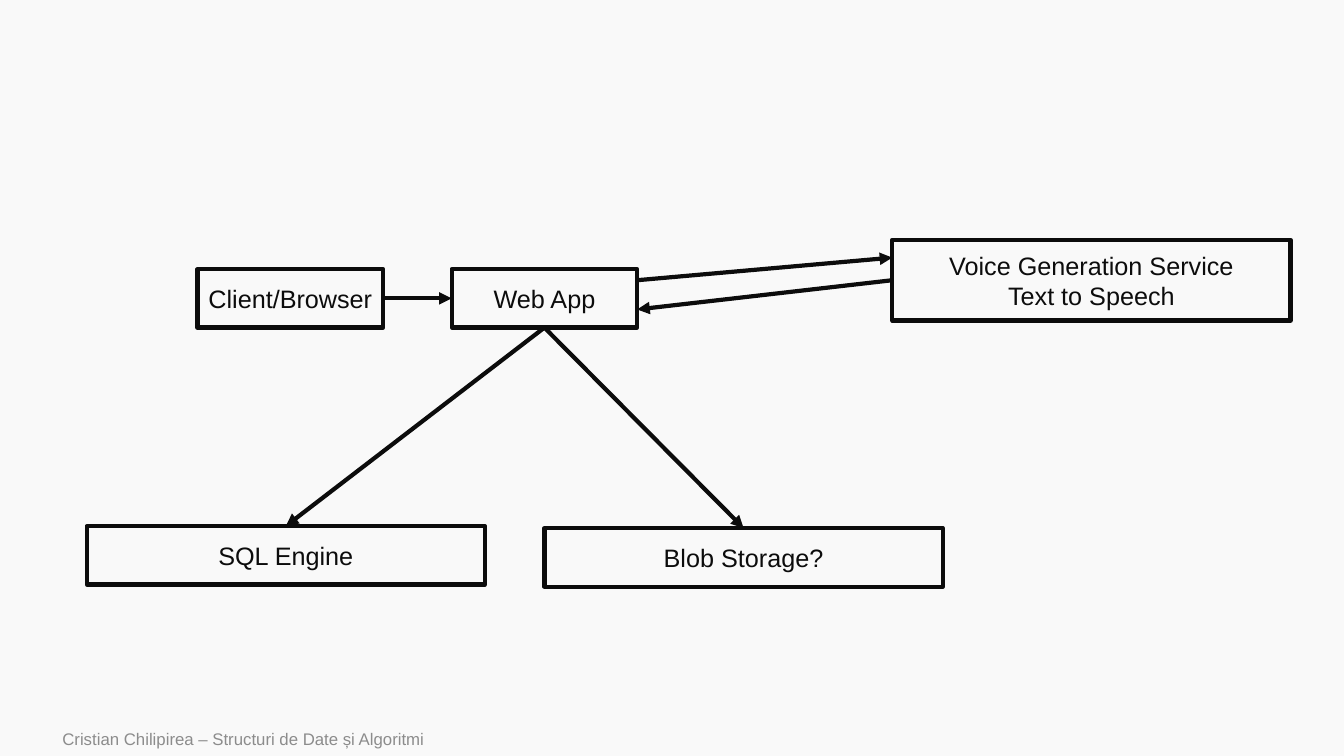
from pptx import Presentation
from pptx.dml.color import RGBColor
from pptx.enum.shapes import MSO_CONNECTOR as Connector, MSO_SHAPE as Shape
from pptx.enum.text import MSO_ANCHOR as Anchor, PP_ALIGN as Align
from pptx.oxml.ns import qn
from pptx.util import Inches, Pt
from lxml.etree import SubElement

CELL = Inches(0.1)
INK = "0C0C0C"
BACKGROUND = "F9F9F9"
FOOTER_GREY = "8C8C8C"


def paint(fill, colour):
    fill.solid()
    fill.fore_color.rgb = RGBColor.from_string(colour)


def write_text(shape, text, size=18, colour=INK, align=Align.CENTER):
    frame = shape.text_frame
    frame.word_wrap = True
    frame.vertical_anchor = Anchor.MIDDLE
    frame.text = text
    for paragraph in frame.paragraphs:
        paragraph.alignment = align
        paragraph.font.name = "Arial"
        paragraph.font.size = Pt(size)
        paint(paragraph.font.fill, colour)


presentation = Presentation()
presentation.slide_width = Inches(13.33)
presentation.slide_height = Inches(7.5)
slide = presentation.slides.add_slide(presentation.slide_layouts[6])
paint(slide.background.fill, BACKGROUND)

footer = slide.shapes.add_textbox(*(int(n * CELL) for n in (5.2, 71.6, 84, 3.4)))
write_text(footer, "Cristian Chilipirea – Structuri de Date și Algoritmi",
           size=12, colour=FOOTER_GREY, align=Align.LEFT)

WIDE, NARROW = 39.5, 18.4
TALL, LOW = 8, 5.8
boxes = {
    "speech": ("Voice Generation Service\nText to Speech", 88.5, 23.8, WIDE, TALL),
    "database": ("SQL Engine", 8.6, 52.2, WIDE, LOW),
    "storage": ("Blob Storage?", 54, 52.4, WIDE, LOW),
    "web app": ("Web App", 44.8, 26.7, NARROW, LOW),
    "client": ("Client/Browser", 19.6, 26.7, NARROW, LOW),
}
placed = {}
for name, (label, *cells) in boxes.items():
    box = slide.shapes.add_shape(Shape.RECTANGLE, *(int(n * CELL) for n in cells))
    box.shadow.inherit = False
    box.fill.background()
    paint(box.line.fill, INK)
    box.line.width = Pt(3)
    write_text(box, label)
    placed[name] = box

arrows = [
    ("client", 1, 0.5, "web app", 0, 0.5),
    ("web app", 1, 0.19, "speech", 0, 0.22),
    ("speech", 0, 0.5, "web app", 1, 0.69),
    ("web app", 0.5, 1, "database", 0.5, 0),
    ("web app", 0.5, 1, "storage", 0.5, 0),
]
for source, source_x, source_y, target, target_x, target_y in arrows:
    points = []
    for name, across, down in ((source, source_x, source_y), (target, target_x, target_y)):
        box = placed[name]
        points += [int(box.left + across * box.width), int(box.top + down * box.height)]
    arrow = slide.shapes.add_connector(Connector.STRAIGHT, *points)
    paint(arrow.line.fill, INK)
    arrow.line.width = Pt(3)
    SubElement(arrow.line._get_or_add_ln(), qn("a:tailEnd"), type="triangle")
    SubElement(arrow._element.spPr, qn("a:effectLst"))

presentation.save("out.pptx")
